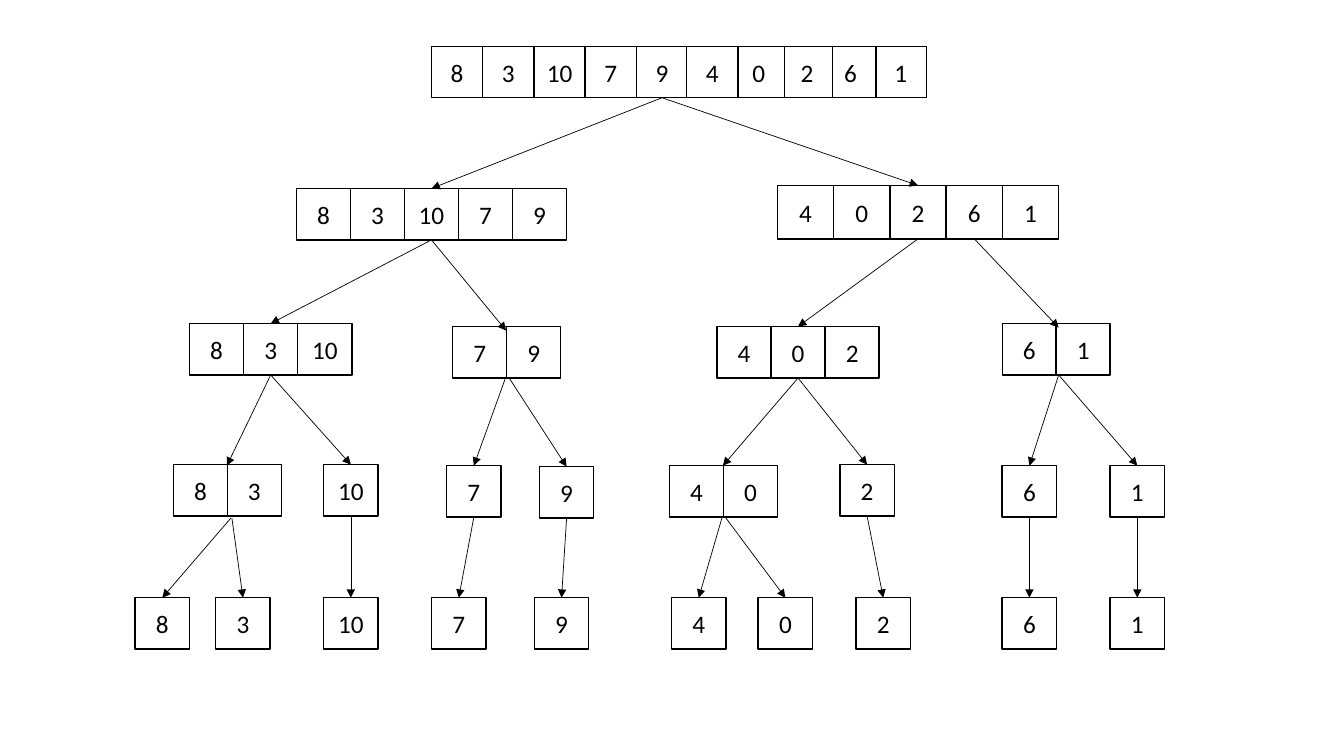
from lxml import etree
from pptx import Presentation
from pptx.dml.color import RGBColor
from pptx.enum import shapes, text
from pptx.oxml import ns
from pptx.util import Inches, Pt

COLORS = {"ink": "000000", "paper": "FFFFFF"}
FONT = "Calibri"
SIDE = 0.54
HIGH = 0.51

ROWS = {
    "root": (4.28, 0.46, 2.54, HIGH, "8 3 10 7 9"),
    "left": (2.94, 1.87, 2.68, HIGH, "8 3 10 7 9"),
    "right": (7.71, 1.84, 2.79, 0.53, "4 0 2 6 1"),
    "l1": (1.88, 3.21, 1.61, HIGH, "8 3 10"),
    "l2": (4.49, 3.24, 1.07, HIGH, "7 9"),
    "r1": (7.11, 3.24, 1.61, HIGH, "4 0 2"),
    "r2": (9.94, 3.21, 1.07, HIGH, "6 1"),
    "l11": (1.72, 4.61, 1.07, HIGH, "8 3"),
    "l12": (3.21, 4.61, SIDE, HIGH, "10"),
    "l21": (4.43, 4.62, SIDE, HIGH, "7"),
    "l22": (5.35, 4.63, SIDE, HIGH, "9"),
    "r11": (6.64, 4.62, 1.07, HIGH, "4 0"),
    "r12": (8.33, 4.61, SIDE, HIGH, "2"),
    "r21": (9.94, 4.62, SIDE, HIGH, "6"),
    "r22": (11.01, 4.62, SIDE, HIGH, "1"),
}
TAIL = [(8.68, "1"), (8.18, "6"), (7.75, "2"), (7.27, "0"), (6.81, "4")]
LEAVES = [
    (1.34, "8"), (2.14, "3"), (3.21, "10"), (4.28, "7"), (5.3, "9"),
    (6.66, "4"), (7.52, "0"), (8.49, "2"), (9.94, "6"), (11.01, "1"),
]
LINKS = [
    (("root", 4), ("left", 2)),
    (("root", 4), ("right", 2)),
    (("left", 2), ("l1", 1)),
    (("left", 2), (5.02, 3.28)),
    (("right", 2), ("r1", 1)),
    (("right", 3), (10.5, 3.25)),
    (("l1", 1), (2.25, 4.62)),
    (("l1", 1), ("l12", 0)),
    ((5.01, 3.76), ("l21", 0)),
    ((5.05, 3.75), ("l22", 0)),
    (("r1", 1), (7.17, 4.62)),
    (("r1", 1), ("r12", 0)),
    ((10.5, 3.72), ("r21", 0)),
    ((10.5, 3.72), ("r22", 0)),
    ((2.29, 5.14), ("leaf", 0)),
    ((2.3, 5.14), ("leaf", 1)),
    (("l12", 0), ("leaf", 2)),
    (("l21", 0), ("leaf", 3)),
    (("l22", 0), ("leaf", 4)),
    ((7.16, 5.14), ("leaf", 5)),
    ((7.2, 5.14), ("leaf", 6)),
    (("r12", 0), ("leaf", 7)),
    (("r21", 0), ("leaf", 8)),
    (("r22", 0), ("leaf", 9)),
]


def color(name):
    return RGBColor.from_string(COLORS[name])


def add_cell(slide, left, top, width, height, label):
    cell = slide.shapes.add_shape(
        shapes.MSO_SHAPE.RECTANGLE,
        Inches(left), Inches(top), Inches(width), Inches(height))
    cell.shadow.inherit = False
    cell.fill.solid()
    cell.fill.fore_color.rgb = color("paper")
    cell.line.color.rgb = color("ink")
    cell.line.width = Pt(1)
    frame = cell.text_frame
    frame.text = label
    frame.vertical_anchor = text.MSO_ANCHOR.MIDDLE
    para = frame.paragraphs[0]
    para.alignment = text.PP_ALIGN.CENTER
    font = para.runs[0].font
    font.name = FONT
    font.size = Pt(18)
    font.color.rgb = color("ink")
    return cell


def add_row(slide, left, top, width, height, labels):
    labels = labels.split()
    step = width / len(labels)
    return [add_cell(slide, left + i * step, top, step, height, label)
            for i, label in enumerate(labels)]


def add_link(slide, cells, start, end):
    points = [(0, 0) if point in cells else point for point in (start, end)]
    (x1, y1), (x2, y2) = points
    link = slide.shapes.add_connector(
        shapes.MSO_CONNECTOR.STRAIGHT,
        Inches(x1), Inches(y1), Inches(x2), Inches(y2))
    if start in cells:
        link.begin_connect(cells[start], 2)
    if end in cells:
        link.end_connect(cells[end], 0)
    link.line.color.rgb = color("ink")
    link.line.width = Pt(0.5)
    line = link.line._get_or_add_ln()
    etree.SubElement(line, ns.qn("a:tailEnd"), type="triangle")
    etree.SubElement(link._element.spPr, ns.qn("a:effectLst"))


def main():
    deck = Presentation()
    deck.slide_width = Inches(13.33)
    deck.slide_height = Inches(7.5)
    slide = deck.slides.add_slide(deck.slide_layouts[6])
    cells = {}
    for name, row in ROWS.items():
        for i, cell in enumerate(add_row(slide, *row)):
            cells[name, i] = cell
    for left, label in TAIL:
        add_cell(slide, left, 0.46, HIGH, HIGH, label)
    for i, (left, label) in enumerate(LEAVES):
        cells["leaf", i] = add_cell(slide, left, 5.93, SIDE, HIGH, label)
    for start, end in LINKS:
        add_link(slide, cells, start, end)
    deck.save("out.pptx")


if __name__ == "__main__":
    main()
